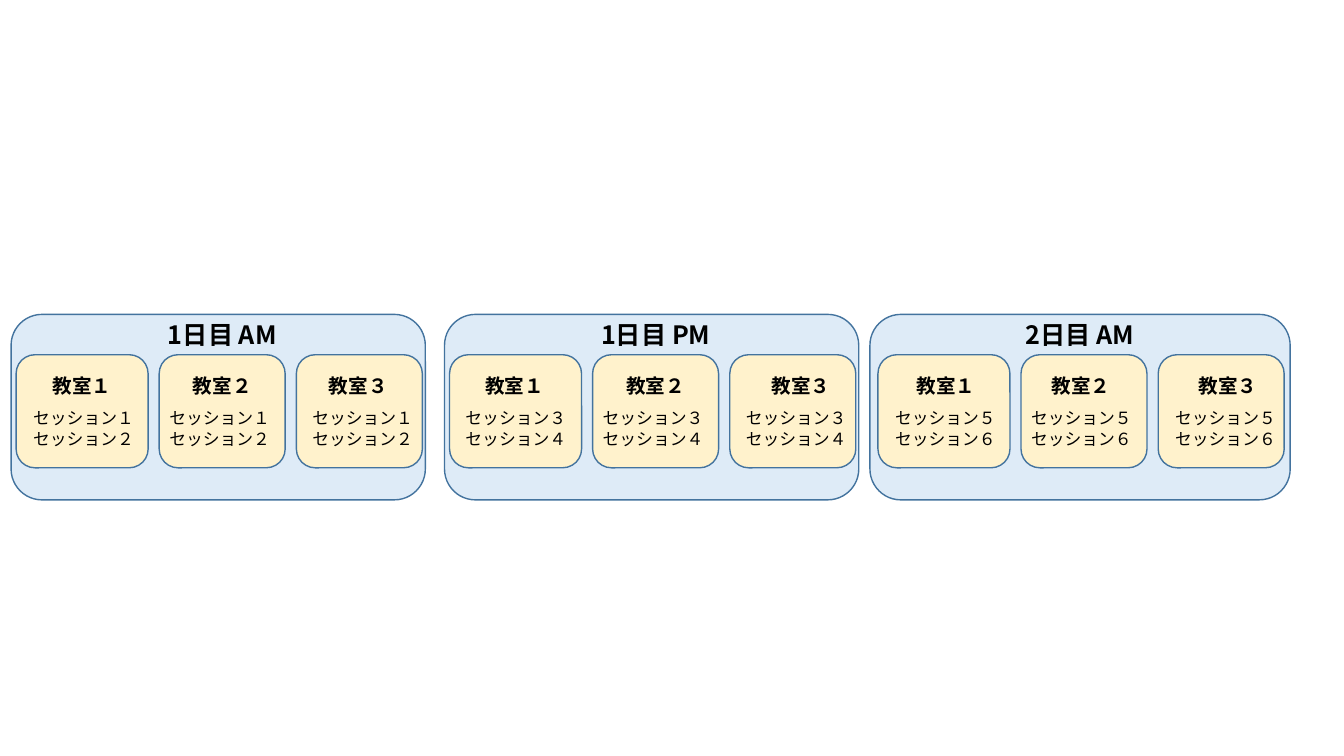
from dataclasses import dataclass

from lxml.etree import SubElement
from pptx import Presentation
from pptx.dml.color import RGBColor
from pptx.enum.shapes import MSO_SHAPE
from pptx.enum.text import PP_ALIGN
from pptx.oxml.ns import qn
from pptx.util import Pt


@dataclass(frozen=True)
class Theme:
    """Colours, font and type sizes of the slide."""
    panel: str = "DEEBF7"
    room: str = "FFF2CC"
    line: str = "43739E"
    ink: str = "000000"
    font: str = "Noto Sans CJK JP"
    title: int = 18
    label: int = 14
    body: int = 12


class Painter:
    """Draws styled elements on the current slide."""

    def __init__(self, slide, theme):
        """Keep the slide and its theme."""
        self.slide = slide
        self.theme = theme

    def box(self, left, top, width, height, fill):
        """Add a rounded box with a thin outline."""
        shape = self.slide.shapes.add_shape(
            MSO_SHAPE.ROUNDED_RECTANGLE, Pt(left), Pt(top), Pt(width), Pt(height))
        shape.shadow.inherit = False
        shape.fill.solid()
        shape.fill.fore_color.rgb = RGBColor.from_string(fill)
        shape.line.color.rgb = RGBColor.from_string(self.theme.line)
        shape.line.width = Pt(1)

    def text(self, left, top, width, height, lines, size, bold=False,
             align=PP_ALIGN.LEFT):
        """Add a text box with one paragraph for each line."""
        frame = self.slide.shapes.add_textbox(
            Pt(left), Pt(top), Pt(width), Pt(height)).text_frame
        frame.word_wrap = True
        frame.text = "\n".join(lines)
        for para in frame.paragraphs:
            para.alignment = align
            font = para.font
            font.name = self.theme.font
            font.size = Pt(size)
            font.bold = bold
            font.color.rgb = RGBColor.from_string(self.theme.ink)
            props = para._p.pPr.find(qn("a:defRPr"))
            SubElement(props, qn("a:ea")).set("typeface", self.theme.font)

    def head(self, left, top, width, height, words, size):
        """Add a bold, centred heading."""
        self.text(left, top, width, height, [words], size, True, PP_ALIGN.CENTER)


@dataclass(frozen=True)
class Block:
    """A half day: its panel, title and the places of its rooms."""
    title: str
    left: float
    width: float
    start: float
    title_left: float
    labels: tuple
    lists: tuple


TOP = 224.6
ROOMS = ((0, 94.3), (102.2, 90), (200.2, 90))
DIGITS = "１２３４５６"
BLOCKS = (
    Block("1日目 AM", 7.9, 295.9, 11.5, 82.8,
          (7.2, 107.3, 204.5), (16.6, 113.8, 216)),
    Block("1日目 PM", 317.5, 295.9, 321.1, 392.4,
          (316.1, 416.9, 520.6), (325.4, 423.4, 525.6)),
    Block("2日目 AM", 621.4, 300.2, 627.1, 695.5,
          (624.2, 720.7, 825.8), (632.2, 729.4, 832.3)),
)


def draw(paint, block, index):
    """Draw one half day with its three rooms."""
    theme = paint.theme
    paint.box(block.left, TOP, block.width, 132.5, theme.panel)
    paint.head(block.title_left, TOP, 152, 29, block.title, theme.title)
    lines = [f"セッション{digit}" for digit in DIGITS[2 * index:2 * index + 2]]
    places = zip(DIGITS, ROOMS, block.labels, block.lists)
    for digit, (shift, width), label, column in places:
        paint.box(block.start + shift, TOP + 28.8, width, 80.8, theme.room)
        paint.head(label, TOP + 38.9, 103, 24.2, f"教室{digit}", theme.label)
        paint.text(column, TOP + 63.4, 90, 36.3, lines, theme.body)


def main():
    """Build and save the timetable slide."""
    deck = Presentation()
    deck.slide_width, deck.slide_height = Pt(960), Pt(540)
    paint = Painter(deck.slides.add_slide(deck.slide_layouts[6]), Theme())
    for index, block in enumerate(BLOCKS):
        draw(paint, block, index)
    deck.save("out.pptx")


main()
